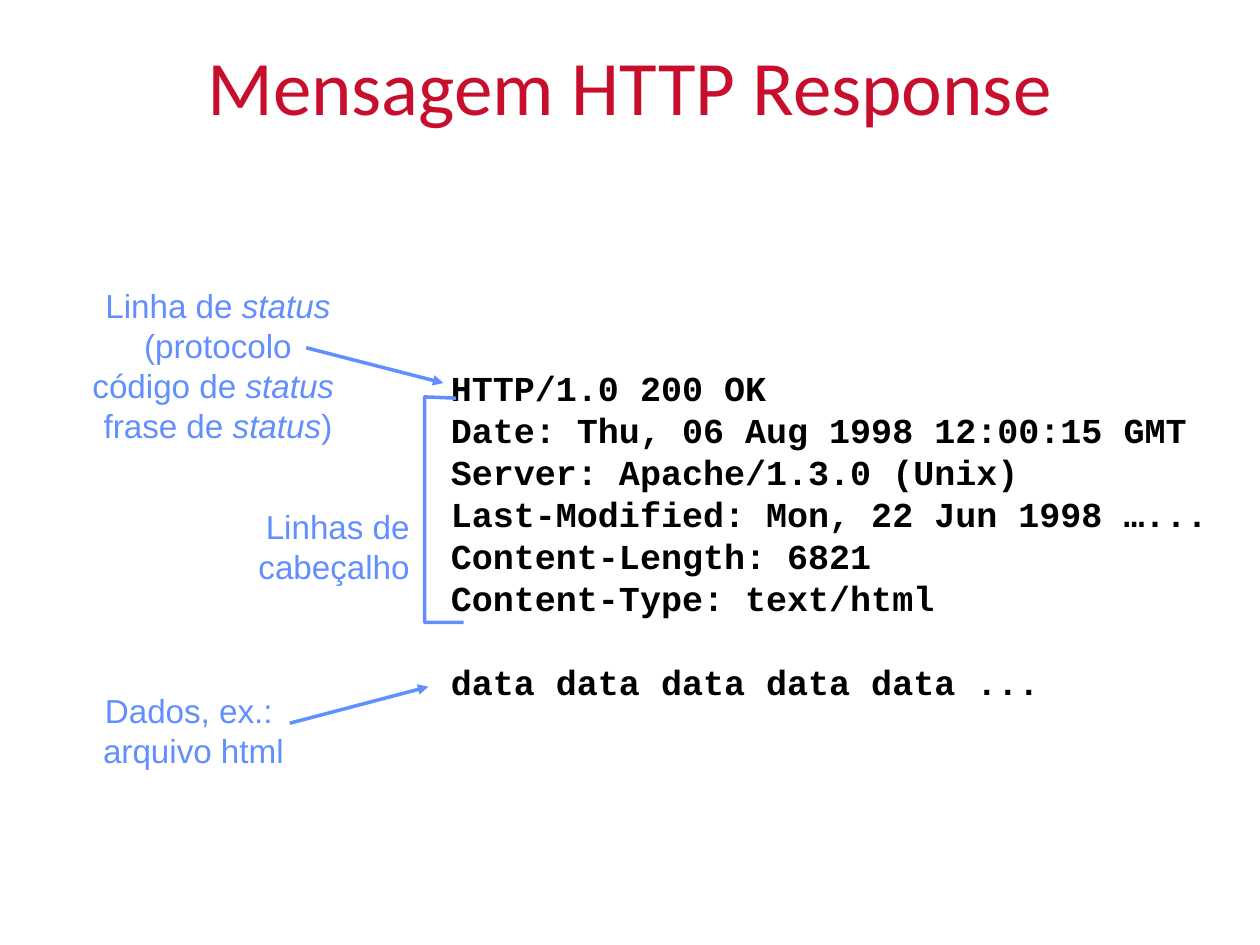
from lxml.etree import SubElement
from pptx import Presentation
from pptx.dml.color import RGBColor
from pptx.enum.shapes import MSO_CONNECTOR
from pptx.enum.text import MSO_ANCHOR, PP_ALIGN
from pptx.oxml.ns import qn
from pptx.util import Inches, Pt

RED = RGBColor(0xC8, 0x0E, 0x2D)
BLUE = RGBColor(0x61, 0x8F, 0xFD)
BLACK = RGBColor(0, 0, 0)

# Content
TITLE = "Mensagem HTTP Response"
STATUS_AND_HEADERS = [
    "HTTP/1.0 200 OK",
    "Date: Thu, 06 Aug 1998 12:00:15 GMT",
    "Server: Apache/1.3.0 (Unix)",
    "Last-Modified: Mon, 22 Jun 1998 …...",
    "Content-Length: 6821",
    "Content-Type: text/html",
]
BODY = "data data data data data ..."
ITALIC_WORD = "status"

# Annotations: box (left, top, width, height), alignment, lines
ANNOTATIONS = [
    ((0.5, 2.21, 2.46, 1.37), PP_ALIGN.CENTER,
     ["Linha de status", "(protocolo", "código de status ", "frase de status)"]),
    ((1.81, 3.97, 1.54, 0.74), PP_ALIGN.RIGHT, ["Linhas de", "cabeçalho"]),
    ((0.6, 5.43, 1.87, 0.74), PP_ALIGN.CENTER, ["Dados, ex.: ", "arquivo html"]),
]
ARROWS = [((2.43, 2.76), (3.52, 3.04)), ((2.3, 5.74), (3.4, 5.45))]
BRACKET = [(3.62, 3.16), (3.37, 3.15), (3.37, 4.94), (3.68, 4.94)]


def style(run, font, size, color, bold=False, italic=False):
    run.font.name, run.font.size = font, Pt(size)
    run.font.bold, run.font.italic = bold, italic
    run.font.color.rgb = color


def add_lines(slide, box, lines, line_height, align=PP_ALIGN.LEFT):
    frame = slide.shapes.add_textbox(*map(Inches, box)).text_frame
    frame.word_wrap = True
    frame.text = "\n".join(lines)
    for paragraph in frame.paragraphs:
        paragraph.alignment = align
        paragraph.line_spacing = Pt(line_height)
    return frame.paragraphs


def add_annotation(slide, box, align, lines):
    for paragraph, line in zip(add_lines(slide, box, lines, 22.9, align), lines):
        paragraph.text = ""
        for part in filter(None, line.partition(ITALIC_WORD)):
            run = paragraph.add_run()
            run.text = part
            style(run, "Arial", 19, BLUE, italic=part == ITALIC_WORD)


def add_arrow(slide, start, end):
    arrow = slide.shapes.add_connector(
        MSO_CONNECTOR.STRAIGHT, *map(Inches, start + end))
    arrow.line.color.rgb, arrow.line.width = BLUE, Pt(2)
    SubElement(arrow.line._get_or_add_ln(), qn("a:tailEnd"), type="triangle")
    SubElement(arrow._element.spPr, qn("a:effectLst"))


def main():
    prs = Presentation()
    prs.slide_width, prs.slide_height = Inches(10), Inches(7.5)
    slide = prs.slides.add_slide(prs.slide_layouts[5])

    # Title
    title = slide.shapes.title
    title.left, title.top, title.width, title.height = map(Inches, (0.5, 0.05, 9, 1.25))
    title.text_frame.text = TITLE
    title.text_frame.vertical_anchor = MSO_ANCHOR.MIDDLE
    heading = title.text_frame.paragraphs[0]
    heading.alignment = PP_ALIGN.CENTER
    style(heading.runs[0], "Calibri", 44, RED)

    # Response message, with the body one line below the headers
    message = add_lines(slide, (3.48, 2.86, 6.36, 2.77), STATUS_AND_HEADERS + [BODY], 24)
    for paragraph in message:
        style(paragraph.runs[0], "Courier New", 20, BLACK, bold=True)
    message[-1].space_before = Pt(24)

    # Annotations and their arrows
    for box, align, lines in ANNOTATIONS:
        add_annotation(slide, box, align, lines)
    for start, end in ARROWS:
        add_arrow(slide, start, end)

    # Bracket around the header lines
    corners = [(Inches(x), Inches(y)) for x, y in BRACKET]
    builder = slide.shapes.build_freeform(*corners[0])
    builder.add_line_segments(corners[1:], close=False)
    bracket = builder.convert_to_shape()
    bracket.shadow.inherit = False
    bracket.fill.background()
    bracket.line.color.rgb, bracket.line.width = BLUE, Pt(2)

    prs.save("out.pptx")


if __name__ == "__main__":
    main()
